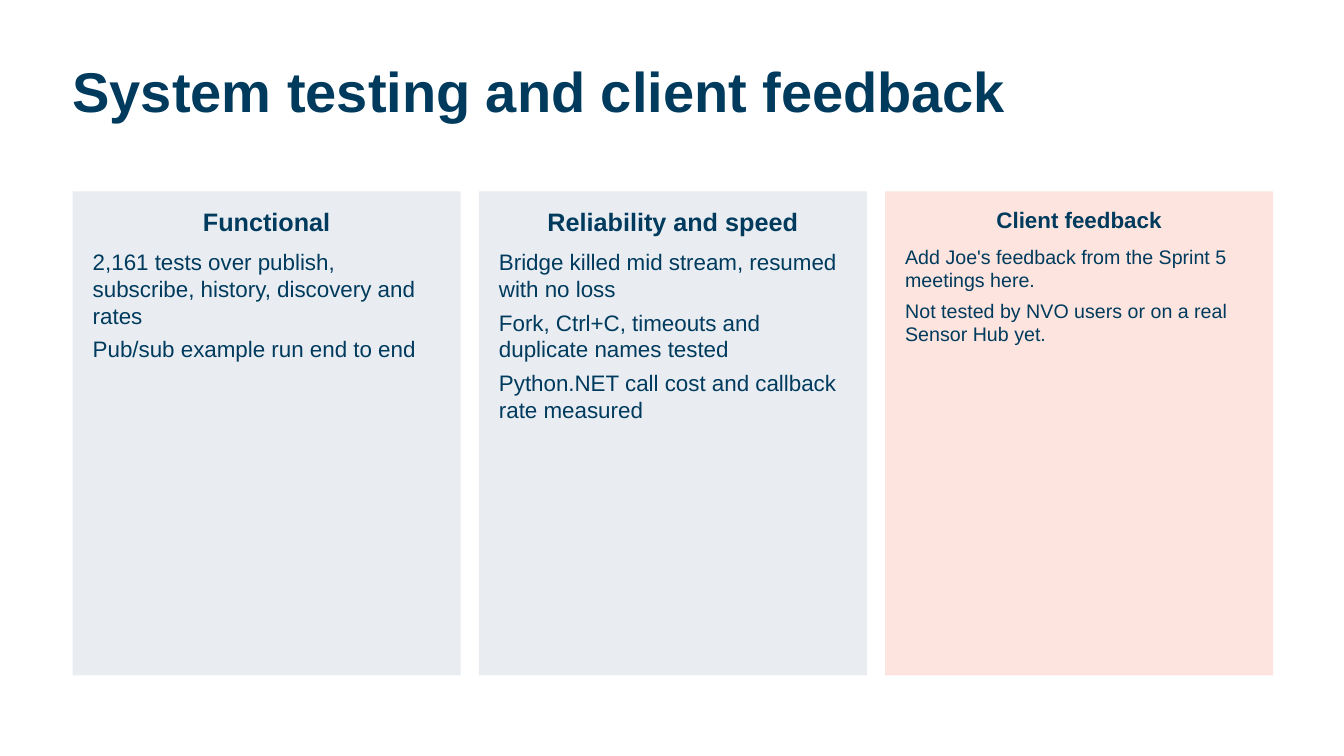
import pptx
import pptx.dml.color
import pptx.enum.shapes
import pptx.enum.text
import pptx.util

Pt = pptx.util.Pt
ALIGN = pptx.enum.text.PP_ALIGN

NAVY, GREY, PINK = "003A5D", "E9EDF2", "FDE4DE"
TITLE = "System testing and client feedback"
# heading, fill, heading size, body size, body lines
CARDS = [
    ("Functional", GREY, 18, 16, [
        "2,161 tests over publish, subscribe, history, discovery and rates",
        "Pub/sub example run end to end",
    ]),
    ("Reliability and speed", GREY, 18, 16, [
        "Bridge killed mid stream, resumed with no loss",
        "Fork, Ctrl+C, timeouts and duplicate names tested",
        "Python.NET call cost and callback rate measured",
    ]),
    ("Client feedback", PINK, 16, 14, [
        "Add Joe's feedback from the Sprint 5 meetings here.",
        "Not tested by NVO users or on a real Sensor Hub yet.",
    ]),
]
LEFT, CARD_TOP = 51.84, 136.8
CARD_WIDTH, CARD_HEIGHT, CARD_GAP = 277.2, 345.6, 12.96


def color(value):
    return pptx.dml.color.RGBColor.from_string(value)


def prepare_frame(frame, left, top, right, bottom):
    """Set wrapping, top anchor and insets in points."""
    frame.word_wrap = True
    frame.vertical_anchor = pptx.enum.text.MSO_ANCHOR.TOP
    frame.margin_left, frame.margin_top = Pt(left), Pt(top)
    frame.margin_right, frame.margin_bottom = Pt(right), Pt(bottom)


def write(para, text, size, bold, align, after):
    para.text = text
    para.alignment = align
    para.space_after = Pt(after)
    for span in para.runs:
        span.font.name = "Arial"
        span.font.size = Pt(size)
        span.font.bold = bold
        span.font.color.rgb = color(NAVY)


def add_card(page, left, heading, fill, heading_size, body_size, lines):
    card = page.shapes.add_shape(
        pptx.enum.shapes.MSO_SHAPE.RECTANGLE,
        Pt(left), Pt(CARD_TOP), Pt(CARD_WIDTH), Pt(CARD_HEIGHT))
    card.shadow.inherit = False
    card.fill.solid()
    card.fill.fore_color.rgb = color(fill)
    card.line.fill.background()
    frame = card.text_frame
    prepare_frame(frame, 14.4, 10.8, 14.4, 3.6)
    write(frame.paragraphs[0], heading, heading_size, True, ALIGN.CENTER, 8)
    for line in lines:
        write(frame.add_paragraph(), line, body_size, False, ALIGN.LEFT, 5)


def main():
    deck = pptx.Presentation()
    deck.slide_width, deck.slide_height = Pt(960), Pt(540)
    page = deck.slides.add_slide(deck.slide_layouts[6])

    box = page.shapes.add_textbox(Pt(LEFT), Pt(46.08), Pt(856), Pt(87))
    prepare_frame(box.text_frame, 0, 0, 0, 0)
    title = box.text_frame.paragraphs[0]
    write(title, TITLE, 40, True, ALIGN.LEFT, 0)
    title.line_spacing = 0.9

    for column, card in enumerate(CARDS):
        add_card(page, LEFT + column * (CARD_WIDTH + CARD_GAP), *card)
    deck.save("out.pptx")


if __name__ == "__main__":
    main()
